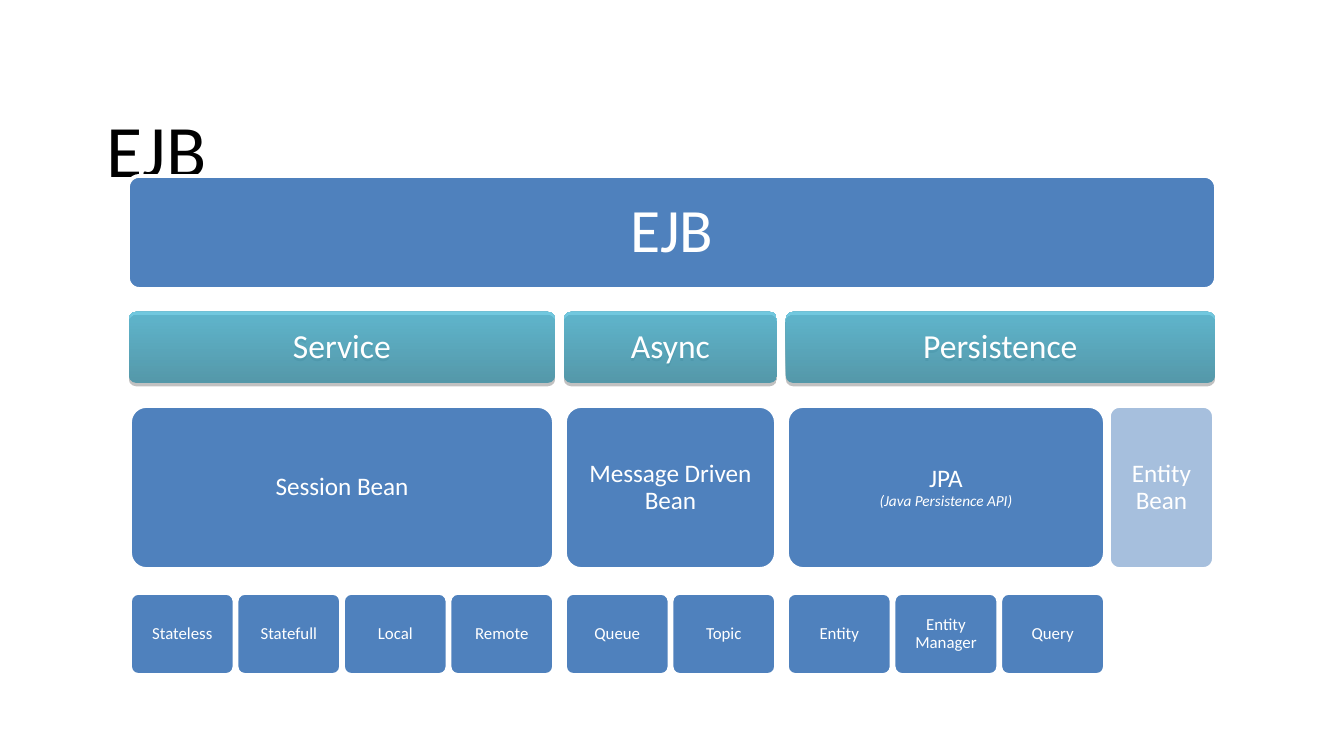
from copy import deepcopy
from dataclasses import dataclass

from lxml.etree import SubElement
from pptx import Presentation
from pptx.dml.color import RGBColor
from pptx.enum.shapes import MSO_SHAPE
from pptx.enum.text import MSO_ANCHOR, PP_ALIGN
from pptx.oxml.ns import qn
from pptx.util import Pt

EMU_PER_PX = 914400 / 134.4


@dataclass(frozen=True)
class Level:
    """Type size and spacing of one row of the hierarchy."""
    size: float
    space_after: float
    inset: int


@dataclass(frozen=True)
class Theme:
    font: str = "Calibri"
    black: RGBColor = RGBColor(0, 0, 0)
    white: RGBColor = RGBColor(255, 255, 255)
    blue: RGBColor = RGBColor.from_string("4F81BD")
    teal: tuple = (RGBColor.from_string("2787A0"), RGBColor.from_string("36B1D2"))
    line_spacing: float = 0.9
    corner: float = 0.1
    title_size: float = 39.6
    note_size: float = 8.2
    root: Level = Level(33, 13.5, 20)
    area: Level = Level(18, 7.5, 12)
    bean: Level = Level(13.5, 6, 11)
    leaf: Level = Level(9, 3.75, 7)


THEME = Theme()

# Rows as (top, height)
ROOT_ROW, AREA_ROW, BEAN_ROW, LEAF_ROW = (176, 113), (312, 71), (406, 163), (593, 82)
COLUMN_LEFT, COLUMN_GAP, BEAN_GAP, LEAF_GAP = 130, 11, 4, 2

# Area, column width, main bean, its leaves, width of a faded side bean, its name
COLUMNS = [
    ("Service", 424, "Session Bean", ["Stateless", "Statefull", "Local", "Remote"], 0, ""),
    ("Async", 211, "Message Driven Bean", ["Queue", "Topic"], 0, ""),
    ("Persistence", 427, "JPA\v(Java Persistence API)",
     ["Entity", "Entity\vManager", "Query"], 105, "Entity Bean"),
]


def px(value):
    return round(value * EMU_PER_PX)


def style_text(frame, size, color):
    paragraph = frame.paragraphs[0]
    paragraph.line_spacing = THEME.line_spacing
    for run in paragraph.runs:
        run.font.name = THEME.font
        run.font.size = Pt(size)
        run.font.color.rgb = color
    # Line breaks take the format of the first run
    for line_break in frame._txBody.iter(qn("a:br")):
        line_break.insert(0, deepcopy(paragraph.runs[0]._r.rPr))
    return paragraph


def set_opacity(shape, percent):
    for color in shape._element.spPr.iter(qn("a:srgbClr")):
        SubElement(color, qn("a:alpha"), val=str(percent * 1000))


def add_box(slide, box, text, level):
    """Rounded box with centred white text; the caller paints it."""
    shape = slide.shapes.add_shape(MSO_SHAPE.ROUNDED_RECTANGLE, *map(px, box))
    shape.adjustments[0] = THEME.corner
    shape.shadow.inherit = False
    frame = shape.text_frame
    frame.text = text
    frame.word_wrap = True
    frame.vertical_anchor = MSO_ANCHOR.MIDDLE
    frame.margin_left = frame.margin_right = px(level.inset)
    frame.margin_top = frame.margin_bottom = px(level.inset)
    paragraph = style_text(frame, level.size, THEME.white)
    paragraph.alignment = PP_ALIGN.CENTER
    paragraph.space_after = Pt(level.space_after)
    return shape


def add_node(slide, box, text, level, opacity=100):
    """Blue box with a white outline."""
    node = add_box(slide, box, text, level)
    node.fill.solid()
    node.fill.fore_color.rgb = THEME.blue
    if opacity < 100:
        set_opacity(node, opacity)
    node.line.color.rgb = THEME.white
    node.line.width = Pt(2)
    return node


def add_area(slide, box, text):
    """Teal gradient header with a hard drop shadow."""
    area = add_box(slide, box, text, THEME.area)
    area.line.fill.background()
    area.fill.gradient()
    area.fill.gradient_angle = 90
    for stop, color in zip(area.fill.gradient_stops, THEME.teal):
        stop.color.rgb = color
    set_opacity(area, 70)
    effects = area._element.spPr.find(qn("a:effectLst"))
    shadow = SubElement(effects, qn("a:outerShdw"), blurRad="0",
                        dist=str(Pt(1.8)), dir="5400000", rotWithShape="0")
    black = SubElement(shadow, qn("a:srgbClr"), val=str(THEME.black))
    SubElement(black, qn("a:alpha"), val="35000")


def add_title(slide, box, text):
    title = slide.shapes.title
    title.left, title.top, title.width, title.height = map(px, box)
    frame = title.text_frame
    frame.text = text
    frame.vertical_anchor = MSO_ANCHOR.BOTTOM
    frame.margin_bottom = 0
    style_text(frame, THEME.title_size, THEME.black).alignment = PP_ALIGN.LEFT


def add_column(slide, left, width, area, bean, leaves, side_width, side_bean):
    # Area header, slightly wider than the beans
    add_area(slide, (left - 1, AREA_ROW[0], width + 2, AREA_ROW[1]), area)

    # Main bean, with a faded one beside it if there is one
    main_width = width - side_width - BEAN_GAP if side_bean else width
    node = add_node(slide, (left, BEAN_ROW[0], main_width, BEAN_ROW[1]), bean, THEME.bean)
    for note in node.text_frame.paragraphs[0].runs[1:]:
        note.font.size = Pt(THEME.note_size)
        note.font.italic = True
    if side_bean:
        side_left = left + width - side_width
        add_node(slide, (side_left, BEAN_ROW[0], side_width, BEAN_ROW[1]),
                 side_bean, THEME.bean, opacity=50)

    # Leaves share the width of the main bean
    pitch = (main_width + LEAF_GAP) / len(leaves)
    for index, leaf in enumerate(leaves):
        add_node(slide, (left + index * pitch, LEAF_ROW[0], pitch - LEAF_GAP, LEAF_ROW[1]),
                 leaf, THEME.leaf)


def add_hierarchy(slide, left):
    total = sum(column[1] for column in COLUMNS) + COLUMN_GAP * (len(COLUMNS) - 1)
    add_node(slide, (left - 2, ROOT_ROW[0], total + 4, ROOT_ROW[1]), "EJB", THEME.root)
    for area, width, bean, leaves, side_width, side_bean in COLUMNS:
        add_column(slide, left, width, area, bean, leaves, side_width, side_bean)
        left += width + COLUMN_GAP


def main():
    deck = Presentation()
    deck.slide_width, deck.slide_height = px(1344), px(756)
    slide = deck.slides.add_slide(deck.slide_layouts[5])
    add_title(slide, (93, 40, 1158, 154), "EJB")
    add_hierarchy(slide, COLUMN_LEFT)
    deck.save("out.pptx")


if __name__ == "__main__":
    main()
